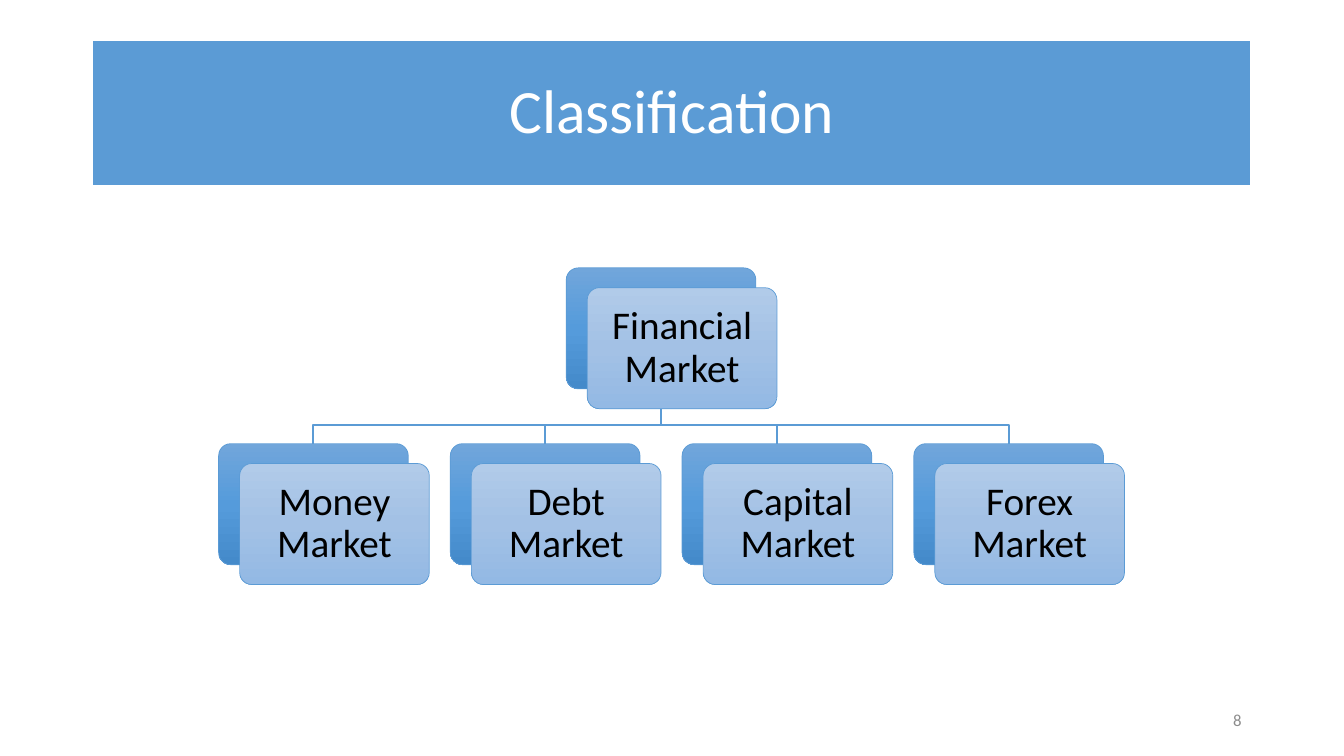
"""Build a slide that charts the classes of financial market."""
from copy import deepcopy
from dataclasses import dataclass

from pptx import Presentation
from pptx import util as u
from pptx.dml.color import RGBColor
from pptx.enum import shapes, text
from pptx.oxml.ns import qn

HUES = {"blue": "5B9BD5", "white": "FFFFFF", "black": "000000", "gray": "8C8C8C"}
BACK = ("71A6DB", "559BDB", "448ACA")
FRONT = ("B1CBE9", "A3C1E5", "93B9E4")
WIDE, HIGH = 4.78, 3.05
SHIFT_X, SHIFT_Y = 0.53, 0.5
STEP, LEFT, ROW = 5.84, 5.51, 11.18
BEND = 10.72


@dataclass
class Node:
    label: str
    x: float
    y: float

    @property
    def mid(self) -> float:
        return self.x + WIDE / 2


def write(shape, words: str, size: float, hue: str, align) -> None:
    frame = shape.text_frame
    frame.word_wrap = True
    frame.vertical_anchor = text.MSO_ANCHOR.MIDDLE
    frame.text = words
    para = frame.paragraphs[0]
    para.alignment = align
    para.line_spacing = 0.9
    para.font.name = "Calibri"
    para.font.size = u.Pt(size)
    para.font.color.rgb = RGBColor.from_string(HUES[hue])


def edge(shape, hue: str, width: float) -> None:
    shape.shadow.inherit = False
    shape.line.color.rgb = RGBColor.from_string(HUES[hue])
    shape.line.width = u.Pt(width)


def shade(shape, tones: tuple[str, ...]) -> None:
    shape.fill.gradient()
    shape.fill.gradient_angle = 270
    stops = shape._element.spPr.find(".//" + qn("a:gsLst"))
    stops.insert(1, deepcopy(stops[0]))
    for i, (stop, tone) in enumerate(zip(shape.fill.gradient_stops, tones)):
        stop.position = i / 2
        stop.color.rgb = RGBColor.from_string(tone)


def card(slide, x: float, y: float, tones: tuple[str, ...]):
    box = slide.shapes.add_shape(
        shapes.MSO_SHAPE.ROUNDED_RECTANGLE, u.Cm(x), u.Cm(y), u.Cm(WIDE), u.Cm(HIGH))
    box.adjustments[0] = 0.1
    shade(box, tones)
    edge(box, "blue", 0.5)
    return box


def draw(slide, node: Node) -> None:
    card(slide, node.x, node.y, BACK)
    front = card(slide, node.x + SHIFT_X, node.y + SHIFT_Y, FRONT)
    frame = front.text_frame
    frame.margin_left = frame.margin_right = u.Cm(0.39)
    frame.margin_top = frame.margin_bottom = u.Cm(0.39)
    write(front, node.label, 28, "black", text.PP_ALIGN.CENTER)


def link(slide, top: Node, leaf: Node, width: float) -> None:
    pen = slide.shapes.build_freeform(u.Cm(top.mid), u.Cm(top.y + HIGH))
    bends = [(top.mid, BEND), (leaf.mid, BEND), (leaf.mid, leaf.y)]
    pen.add_line_segments([(u.Cm(x), u.Cm(y)) for x, y in bends], close=False)
    line = pen.convert_to_shape()
    line.fill.background()
    edge(line, "blue", width)


def main() -> None:
    deck = Presentation()
    deck.slide_width, deck.slide_height = u.Cm(33.87), u.Cm(19.05)
    slide = deck.slides.add_slide(deck.slide_layouts[6])

    title = slide.shapes.add_shape(
        shapes.MSO_SHAPE.RECTANGLE, u.Cm(2.33), u.Cm(1.01), u.Cm(29.21), u.Cm(3.68))
    title.fill.solid()
    title.fill.fore_color.rgb = RGBColor.from_string(HUES["blue"])
    edge(title, "white", 1.5)
    write(title, "Classification", 44, "white", text.PP_ALIGN.CENTER)

    names = ("Money", "Debt", "Capital", "Forex")
    leaves = [Node(f"{name} Market", LEFT + i * STEP, ROW) for i, name in enumerate(names)]
    root = Node("Financial Market", LEFT + 1.5 * STEP, 6.75)
    for leaf, width in zip(leaves, (1.5, 1, 1, 1.5)):
        link(slide, root, leaf, width)
    for node in (root, *leaves):
        draw(slide, node)

    page = slide.shapes.add_textbox(u.Cm(23.92), u.Cm(17.66), u.Cm(7.62), u.Cm(1.01))
    write(page, "8", 12, "gray", text.PP_ALIGN.RIGHT)
    deck.save("out.pptx")


if __name__ == "__main__":
    main()
